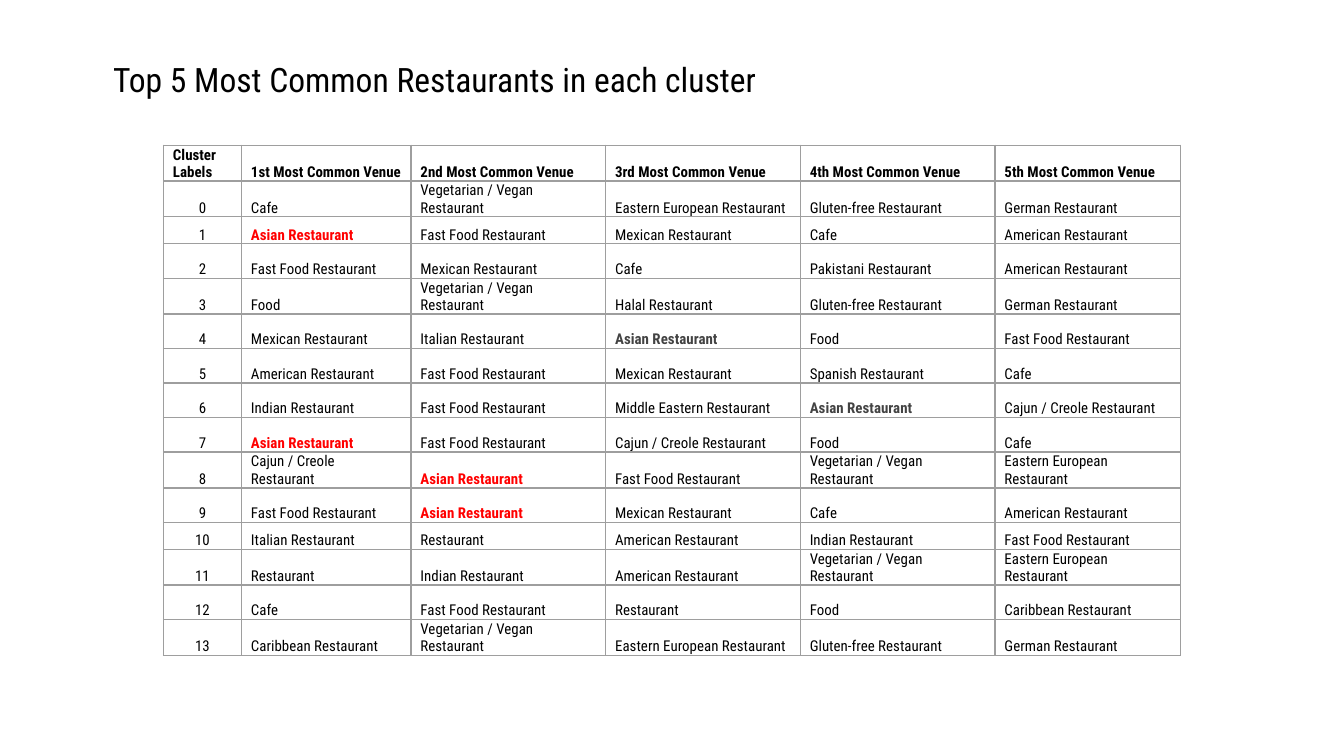
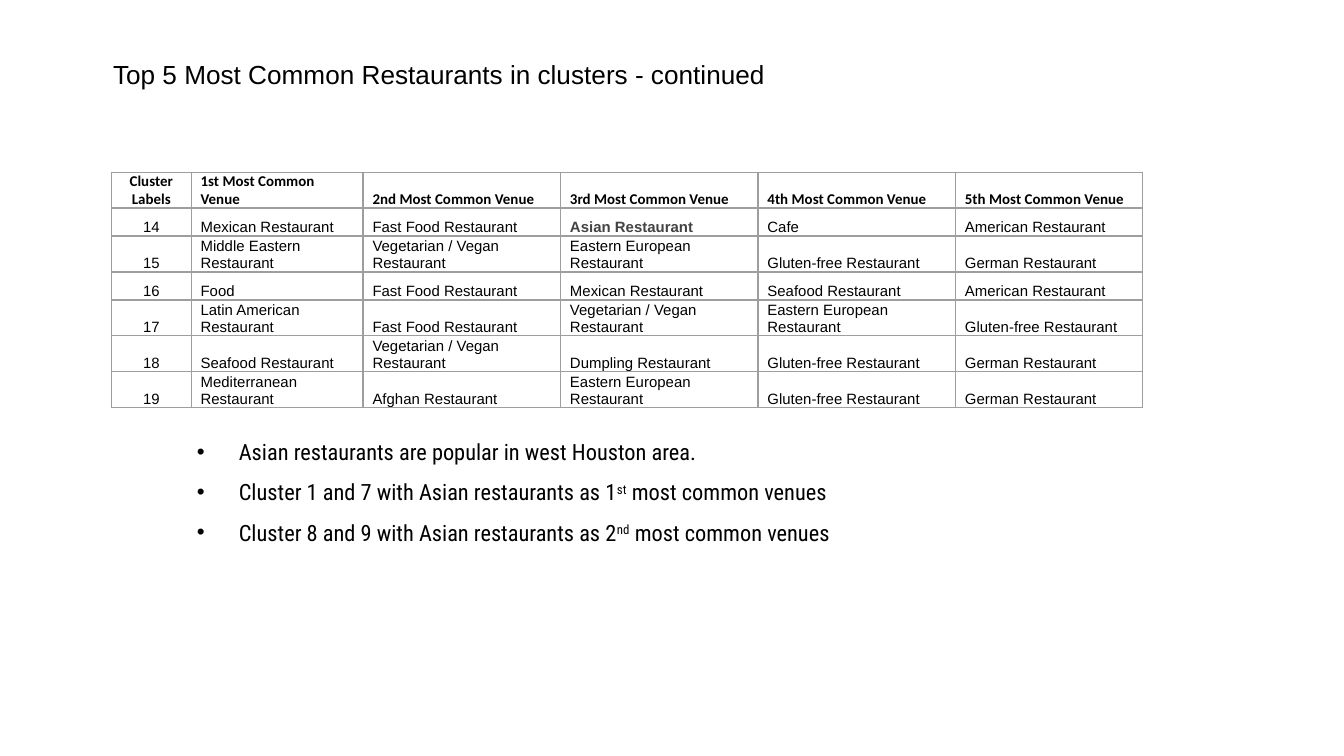
"""Build two slides that tabulate the most common restaurants in each cluster."""
import pptx
import pptx.util
import pptx.dml.color
import pptx.enum.text
import pptx.oxml.ns
from lxml import etree

Pt = pptx.util.Pt
ALIGN = pptx.enum.text.PP_ALIGN
ANCHOR = pptx.enum.text.MSO_ANCHOR

COLORS = {"text": "000000", "top": "FF0000", "lower": "434343", "grid": "9E9E9E"}
ROBOTO, ARIAL, CALIBRI = "Roboto Condensed", "Arial", "Calibri"
HIGHLIGHT = "Asian Restaurant"
TITLE_BOX = (41, 28, 643, 27.5)
BULLET_BOX = (86.4, 224, 643, 96.5)
CELL_INSET = 5.1

HEADERS = ["Cluster Labels"] + [
    f"{rank} Most Common Venue" for rank in ("1st", "2nd", "3rd", "4th", "5th")]

MAIN_VENUES = [
    ("Cafe", "Vegetarian / Vegan Restaurant", "Eastern European Restaurant",
     "Gluten-free Restaurant", "German Restaurant"),
    ("Asian Restaurant", "Fast Food Restaurant", "Mexican Restaurant",
     "Cafe", "American Restaurant"),
    ("Fast Food Restaurant", "Mexican Restaurant", "Cafe",
     "Pakistani Restaurant", "American Restaurant"),
    ("Food", "Vegetarian / Vegan Restaurant", "Halal Restaurant",
     "Gluten-free Restaurant", "German Restaurant"),
    ("Mexican Restaurant", "Italian Restaurant", "Asian Restaurant",
     "Food", "Fast Food Restaurant"),
    ("American Restaurant", "Fast Food Restaurant", "Mexican Restaurant",
     "Spanish Restaurant", "Cafe"),
    ("Indian Restaurant", "Fast Food Restaurant", "Middle Eastern Restaurant",
     "Asian Restaurant", "Cajun / Creole Restaurant"),
    ("Asian Restaurant", "Fast Food Restaurant", "Cajun / Creole Restaurant",
     "Food", "Cafe"),
    ("Cajun / Creole Restaurant", "Asian Restaurant", "Fast Food Restaurant",
     "Vegetarian / Vegan Restaurant", "Eastern European Restaurant"),
    ("Fast Food Restaurant", "Asian Restaurant", "Mexican Restaurant",
     "Cafe", "American Restaurant"),
    ("Italian Restaurant", "Restaurant", "American Restaurant",
     "Indian Restaurant", "Fast Food Restaurant"),
    ("Restaurant", "Indian Restaurant", "American Restaurant",
     "Vegetarian / Vegan Restaurant", "Eastern European Restaurant"),
    ("Cafe", "Fast Food Restaurant", "Restaurant", "Food", "Caribbean Restaurant"),
    ("Caribbean Restaurant", "Vegetarian / Vegan Restaurant",
     "Eastern European Restaurant", "Gluten-free Restaurant", "German Restaurant"),
]
MORE_VENUES = [
    ("Mexican Restaurant", "Fast Food Restaurant", "Asian Restaurant",
     "Cafe", "American Restaurant"),
    ("Middle Eastern Restaurant", "Vegetarian / Vegan Restaurant",
     "Eastern European Restaurant", "Gluten-free Restaurant", "German Restaurant"),
    ("Food", "Fast Food Restaurant", "Mexican Restaurant",
     "Seafood Restaurant", "American Restaurant"),
    ("Latin American Restaurant", "Fast Food Restaurant",
     "Vegetarian / Vegan Restaurant", "Eastern European Restaurant",
     "Gluten-free Restaurant"),
    ("Seafood Restaurant", "Vegetarian / Vegan Restaurant", "Dumpling Restaurant",
     "Gluten-free Restaurant", "German Restaurant"),
    ("Mediterranean Restaurant", "Afghan Restaurant", "Eastern European Restaurant",
     "Gluten-free Restaurant", "German Restaurant"),
]
BULLETS = [
    "Asian restaurants are popular in west Houston area.",
    "Cluster 1 and 7 with Asian restaurants as 1^st^ most common venues",
    "Cluster 8 and 9 with Asian restaurants as 2^nd^ most common venues",
]

SLIDES = [
    dict(title="Top 5 Most Common Restaurants in each cluster",
         title_font=ROBOTO, title_size=18, bullets=[],
         table=dict(venues=MAIN_VENUES, first=0, left=87.6, top=77.8,
                    widths=(41.8, 90.8, 104.3, 104.3, 104.3, 99.4),
                    row_height=18.5, short_rows={2: 14.4, 11: 14.4},
                    head_font=ROBOTO, body_font=ROBOTO, head_align=ALIGN.LEFT)),
    dict(title="Top 5 Most Common Restaurants in clusters - continued",
         title_font=ARIAL, title_size=14, bullets=BULLETS,
         table=dict(venues=MORE_VENUES, first=14, left=59.8, top=92.3,
                    widths=(42.6, 92.1, 105.8, 105.8, 105.8, 100.4),
                    row_height=15, short_rows={},
                    head_font=CALIBRI, body_font=ARIAL, head_align=ALIGN.CENTER)),
]


def write(p, text, font=ROBOTO, size=8, color="text", bold=False,
          align=ALIGN.LEFT, spacing=None, indent=(0, 0), bullet=None):
    """Fill a paragraph; text between carets is superscript."""
    p.alignment = align
    if spacing:
        p.line_spacing = spacing
    pPr = p._p.get_or_add_pPr()
    pPr.set("marL", str(Pt(indent[0])))
    pPr.set("indent", str(Pt(indent[1])))
    if bullet:
        qn = pptx.oxml.ns.qn
        clr = etree.SubElement(pPr, qn("a:buClr"))
        etree.SubElement(clr, qn("a:srgbClr"), val=COLORS[color])
        etree.SubElement(pPr, qn("a:buFont"), typeface=ARIAL)
        etree.SubElement(pPr, qn("a:buChar"), char=bullet)
    for i, part in enumerate(text.split("^")):
        r = p.add_run()
        r.text = part
        r.font.name, r.font.size, r.font.bold = font, Pt(size), bold
        r.font.color.rgb = pptx.dml.color.RGBColor.from_string(COLORS[color])
        if i % 2:
            r.font._element.set("baseline", "30000")


def add_text(slide, box, lines, **fmt):
    """Add a wrapping text box with one paragraph per line."""
    tf = slide.shapes.add_textbox(*map(Pt, box)).text_frame
    tf.word_wrap = True
    for i, line in enumerate(lines):
        write(tf.add_paragraph() if i else tf.paragraphs[0], line, **fmt)


def style_cell(cell):
    """Set the insets, anchor, borders and empty fill of a cell."""
    cell.margin_left = cell.margin_right = Pt(CELL_INSET)
    cell.margin_top = cell.margin_bottom = 0
    cell.vertical_anchor = ANCHOR.BOTTOM
    qn = pptx.oxml.ns.qn
    tcPr = cell._tc.get_or_add_tcPr()
    for side in ("a:lnL", "a:lnR", "a:lnT", "a:lnB"):
        ln = etree.SubElement(tcPr, qn(side), w=str(Pt(0.75)))
        fill = etree.SubElement(ln, qn("a:solidFill"))
        etree.SubElement(fill, qn("a:srgbClr"), val=COLORS["grid"])
    cell.fill.background()


def cell_format(row, col, text, head_font, body_font, head_align):
    """Return the text format for a cell by its place and wording."""
    if row == 0:
        return dict(font=head_font, bold=True,
                    align=ALIGN.LEFT if col else head_align)
    if text == HIGHLIGHT:
        return dict(font=body_font, bold=True, color="top" if col <= 2 else "lower")
    return dict(font=body_font, align=ALIGN.LEFT if col else ALIGN.CENTER)


def add_venue_table(slide, venues, first, left, top, widths, row_height,
                    short_rows, **fonts):
    """Add the table of venues, numbering clusters from first."""
    rows = [HEADERS] + [(str(n), *v) for n, v in enumerate(venues, first)]
    heights = [short_rows.get(i, row_height) for i in range(len(rows))]
    box = (left, top, sum(widths), sum(heights))
    table = slide.shapes.add_table(len(rows), len(widths), *map(Pt, box)).table
    table.first_row = table.horz_banding = False
    for column, width in zip(table.columns, widths):
        column.width = Pt(width)
    for i, texts in enumerate(rows):
        table.rows[i].height = Pt(heights[i])
        for j, text in enumerate(texts):
            cell = table.cell(i, j)
            style_cell(cell)
            write(cell.text_frame.paragraphs[0], text,
                  **cell_format(i, j, text, **fonts))


def main():
    """Build and save the presentation."""
    prs = pptx.Presentation()
    prs.slide_width, prs.slide_height = Pt(720), Pt(405)
    for content in SLIDES:
        slide = prs.slides.add_slide(prs.slide_layouts[6])
        add_text(slide, TITLE_BOX, [content["title"]], font=content["title_font"],
                 size=content["title_size"], indent=(12.5, 0))
        add_venue_table(slide, **content["table"])
        if content["bullets"]:
            add_text(slide, BULLET_BOX, content["bullets"], size=12, spacing=1.5,
                     indent=(34.5, -22.5), bullet="•")
    prs.save("out.pptx")


if __name__ == "__main__":
    main()
